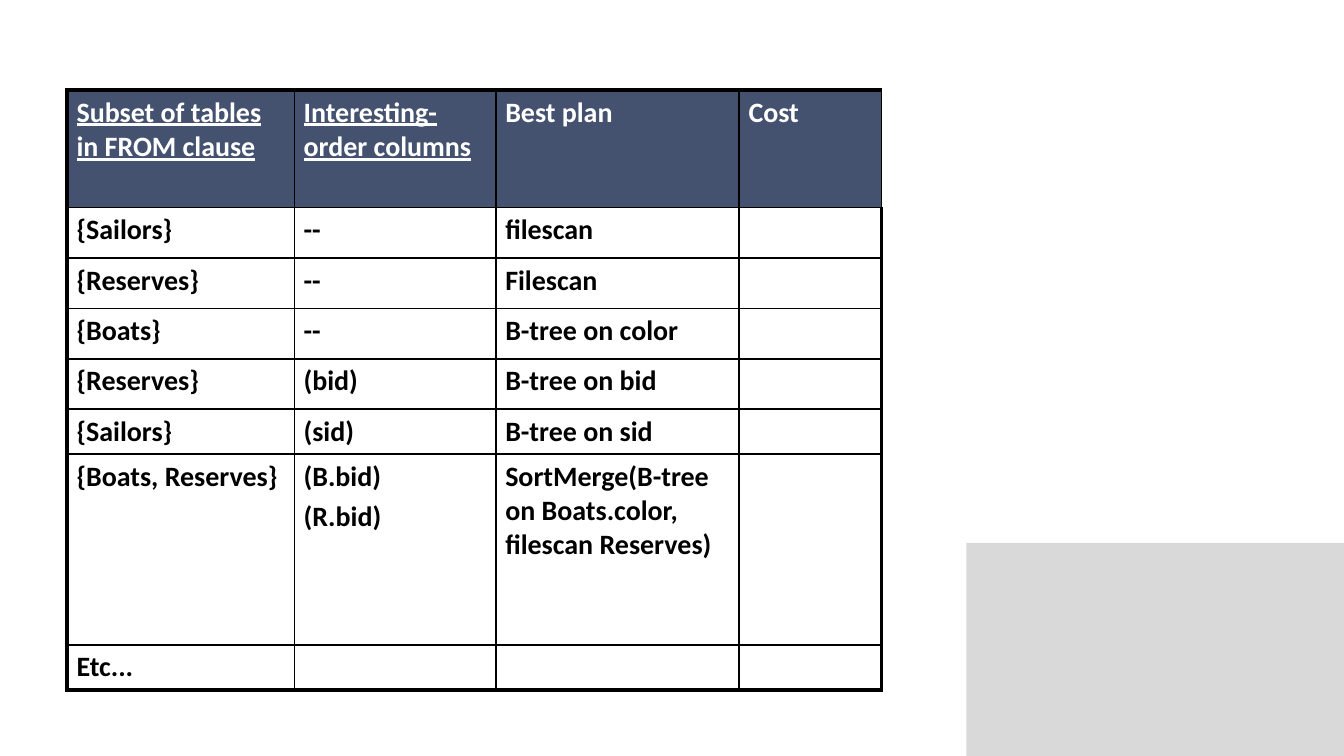
from lxml import etree
from pptx import Presentation
from pptx.dml.color import RGBColor
from pptx.enum.shapes import MSO_SHAPE
from pptx.oxml.ns import qn
from pptx.util import Inches, Pt

RECTANGLE = MSO_SHAPE.RECTANGLE
BLACK = RGBColor(0x00, 0x00, 0x00)
WHITE = RGBColor(0xFF, 0xFF, 0xFF)
NAVY = RGBColor(0x44, 0x51, 0x6F)
GREY = RGBColor(0xD9, 0xD9, 0xD9)

# Slide (16:9) and table grid, in inches
WIDTH = 10
HEIGHT = WIDTH * 9 / 16
LEFT, TOP = 0.5, 0.67
COLUMNS = [1.69, 1.5, 1.81, 1.06]
ROWS = [7 / 8] + [3 / 8] * 4 + [0.33, 1.42, 0.33]
THIN, THICK = 1, 2.25

FONT = {"name": "Calibri", "size": Pt(15), "bold": True}
MARGINS = {
    "margin_left": Inches(0.07),
    "margin_right": Inches(0.07),
    "margin_top": Inches(0.04),
    "margin_bottom": Inches(0.04),
}
PLANS = [
    ["Subset of tables in FROM clause", "Interesting-order columns", "Best plan", "Cost"],
    ["{Sailors}", "--", "filescan", ""],
    ["{Reserves}", "--", "Filescan", ""],
    ["{Boats}", "--", "B-tree on color", ""],
    ["{Reserves}", "(bid)", "B-tree on bid", ""],
    ["{Sailors}", "(sid)", "B-tree on sid", ""],
    ["{Boats, Reserves}", "(B.bid)\n(R.bid)",
     "SortMerge(B-tree on Boats.color, filescan Reserves)", ""],
    ["Etc...", "", "", ""],
]
KEY_COLUMNS = 2  # underlined headings


def set_attributes(target, values):
    for name, value in values.items():
        setattr(target, name, value)


def add_border(cell, side, width):
    line = etree.SubElement(cell._tc.get_or_add_tcPr(), qn(f"a:ln{side}"), w=str(int(Pt(width))))
    fill = etree.SubElement(line, qn("a:solidFill"))
    etree.SubElement(fill, qn("a:srgbClr"), val=str(BLACK))


def write_cell(cell, text, color, underline):
    set_attributes(cell, MARGINS)
    tf = cell.text_frame
    for i, line in enumerate(text.split("\n")):
        p = tf.add_paragraph() if i else tf.paragraphs[0]
        p.space_before = Pt(3)
        if line:
            r = p.add_run()
            r.text = line
            set_attributes(r.font, {**FONT, "underline": underline})
            r.font.color.rgb = color
        else:
            # Keeps an empty cell from stretching its row
            etree.SubElement(p._p, qn("a:endParaRPr"), sz=str(int(FONT["size"].pt * 100)))


def add_plan_table(s):
    frame = s.shapes.add_table(len(ROWS), len(COLUMNS), Inches(LEFT), Inches(TOP),
                               Inches(sum(COLUMNS)), Inches(sum(ROWS)))
    table = frame.table
    for column, width in zip(table.columns, COLUMNS):
        column.width = Inches(width)
    for row, height in zip(table.rows, ROWS):
        row.height = Inches(height)

    last_row, last_col = len(ROWS) - 1, len(COLUMNS) - 1
    for y, plan in enumerate(PLANS):
        for x, text in enumerate(plan):
            cell = table.cell(y, x)
            header = y == 0
            write_cell(cell, text, WHITE if header else BLACK, header and x < KEY_COLUMNS)
            # Thick outline, except to the right of the header
            outer = {"L": x == 0, "R": x == last_col and not header,
                     "T": header, "B": y == last_row}
            for side, is_outer in outer.items():
                add_border(cell, side, THICK if is_outer else THIN)
            if header:
                cell.fill.solid()
                cell.fill.fore_color.rgb = NAVY
            else:
                cell.fill.background()


def add_corner_block(s):
    left, top = 0.719 * WIDTH, 0.718 * HEIGHT
    sp = s.shapes.add_shape(RECTANGLE, Inches(left), Inches(top),
                            Inches(WIDTH - left), Inches(HEIGHT - top))
    sp.shadow.inherit = False
    sp.fill.solid()
    sp.fill.fore_color.rgb = GREY
    sp.line.fill.background()


def main():
    prs = Presentation()
    prs.slide_width, prs.slide_height = Inches(WIDTH), Inches(HEIGHT)
    s = prs.slides.add_slide(prs.slide_layouts[6])
    add_corner_block(s)
    add_plan_table(s)
    prs.save("out.pptx")


main()
